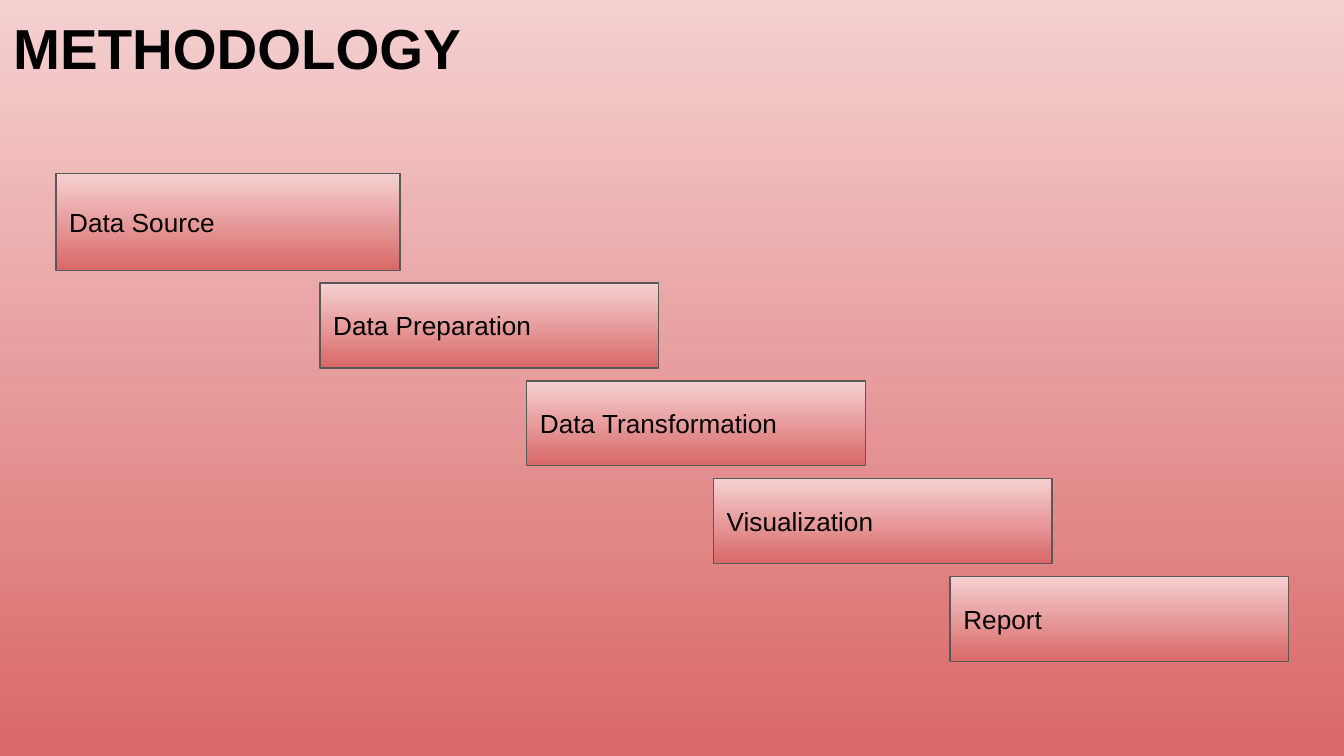
import dataclasses

import pptx
import pptx.dml.color
import pptx.dml.fill
import pptx.enum.shapes
import pptx.enum.text
import pptx.util

Pt = pptx.util.Pt
INSET = 7.2
STAIR_TOP, STAIR_PITCH = 151.7, 52.4


@dataclasses.dataclass
class Step:
    label: str
    left: float
    top: float
    width: float = 181.4
    height: float = 45.4


def rgb(value: str) -> pptx.dml.color.RGBColor:
    return pptx.dml.color.RGBColor.from_string(value)


def fade(fill: pptx.dml.fill.FillFormat) -> None:
    """Fill from pale pink at the top to red at the bottom."""
    fill.gradient()
    fill.gradient_angle = 270
    for stop, color, position in zip(fill.gradient_stops, ("F5D0D0", "D96868"), (0, 1)):
        stop.color.rgb = rgb(color)
        stop.position = position


def write(sp, text: str, *, size: float, bold: bool = False,
          anchor=pptx.enum.text.MSO_ANCHOR.TOP) -> None:
    tf = sp.text_frame
    tf.word_wrap = True
    tf.vertical_anchor = anchor
    tf.margin_left = tf.margin_right = tf.margin_top = tf.margin_bottom = Pt(INSET)
    p = tf.paragraphs[0]
    p.alignment = pptx.enum.text.PP_ALIGN.LEFT
    r = p.add_run()
    r.text = text
    r.font.name = "Arial"
    r.font.size = Pt(size)
    r.font.bold = bold
    r.font.color.rgb = rgb("000000")


def draw_step(s, step: Step) -> None:
    sp = s.shapes.add_shape(pptx.enum.shapes.MSO_SHAPE.RECTANGLE, Pt(step.left),
                            Pt(step.top), Pt(step.width), Pt(step.height))
    sp.shadow.inherit = False
    fade(sp.fill)
    sp.line.color.rgb = rgb("595959")
    sp.line.width = Pt(0.75)
    write(sp, step.label, size=14, anchor=pptx.enum.text.MSO_ANCHOR.MIDDLE)


def main() -> None:
    prs = pptx.Presentation()
    prs.slide_width, prs.slide_height = Pt(720), Pt(405)
    s = prs.slides.add_slide(prs.slide_layouts[6])
    fade(s.background.fill)

    title = s.shapes.add_textbox(Pt(0), Pt(0), Pt(671), Pt(45.4))
    write(title, "METHODOLOGY", size=30.2, bold=True)

    stairs = (("Data Preparation", 171.4), ("Data Transformation", 282.2),
              ("Visualization", 382.2), ("Report", 509))
    draw_step(s, Step("Data Source", 30, 93, 184.4, 51.8))
    for i, (label, left) in enumerate(stairs):
        draw_step(s, Step(label, left, STAIR_TOP + i * STAIR_PITCH))

    prs.save("out.pptx")


if __name__ == "__main__":
    main()
